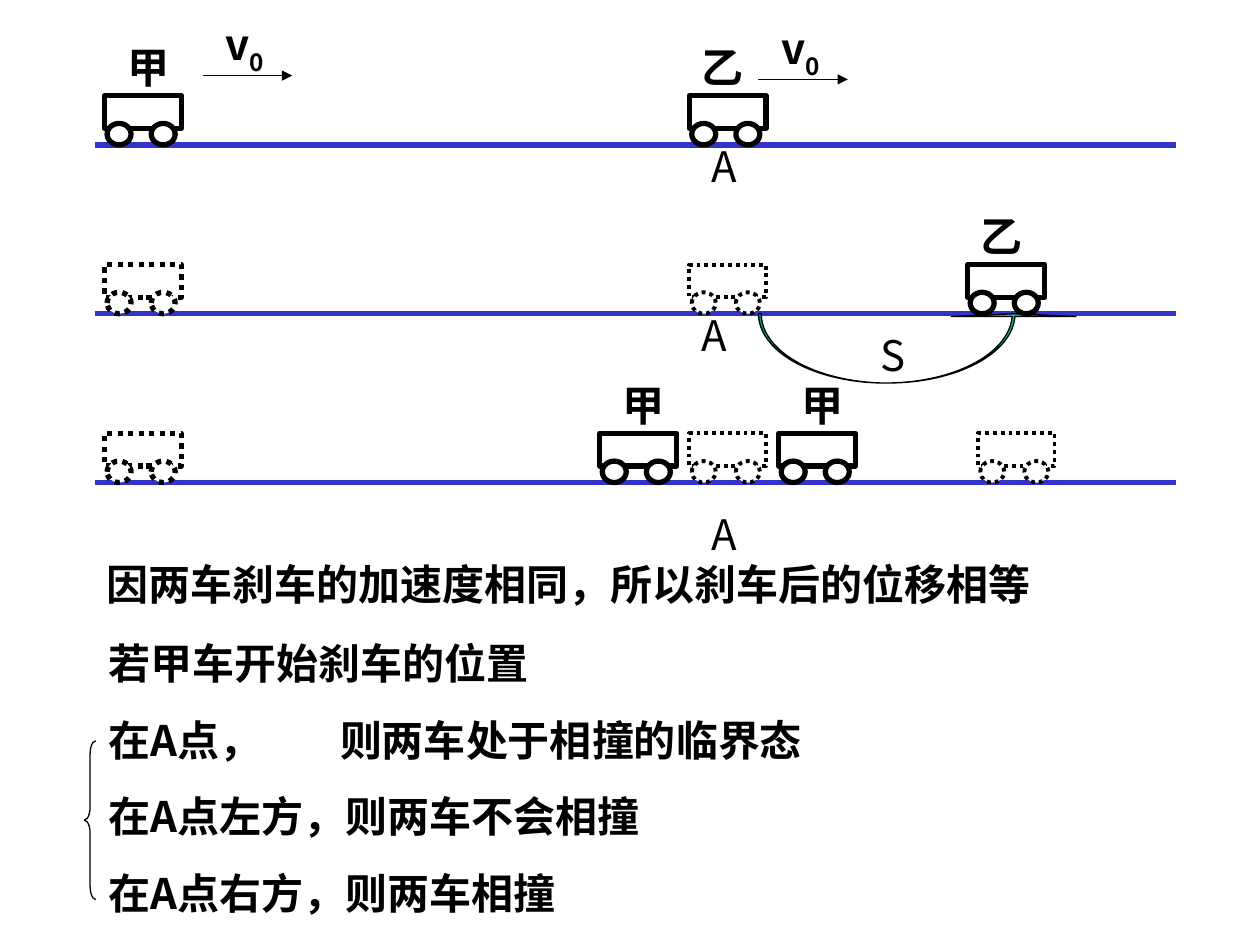
"""Build the slide on two braking cars and the critical point A."""
from dataclasses import dataclass

from lxml.etree import SubElement
from pptx import Presentation
from pptx.dml.color import RGBColor
from pptx.enum.dml import MSO_LINE
from pptx.enum.shapes import MSO_CONNECTOR, MSO_SHAPE
from pptx.oxml.ns import qn
from pptx.util import Inches, Pt


@dataclass(frozen=True)
class Theme:
    font: str = "Noto Sans CJK SC"
    ink: RGBColor = RGBColor(0, 0, 0)
    paper: RGBColor = RGBColor(255, 255, 255)
    road: RGBColor = RGBColor(0x33, 0x33, 0xCC)
    distance: RGBColor = RGBColor(0, 0xCC, 0x99)
    text_size: float = 24
    paragraph_gap: float = 15
    thin: float = 0.75
    dotted: float = 2.25
    thick: float = 3


THEME = Theme()
ROADS = [1.15 + 1.34 * row for row in range(3)]
LABEL_LAYOUT = {"甲": (0.08, 0.55), "乙": (0, 0.63)}
CARS = [
    (0, 0.83, "甲", THEME.thick),
    (0, 5.47, "乙", THEME.thick),
    (1, 0.83, None, THEME.thick),
    (1, 5.47, None, THEME.dotted),
    (1, 7.68, "乙", THEME.thick),
    (2, 0.83, None, THEME.thick),
    (2, 5.47, None, THEME.dotted),
    (2, 7.76, None, THEME.dotted),
    (2, 4.76, "甲", THEME.thick),
    (2, 6.18, "甲", THEME.thick),
]
POINT_LABELS = [
    ("A", 5.55, 1.07), ("A", 5.47, 2.41), ("S", 6.89, 2.57), ("A", 5.55, 3.99),
]
CONCLUSIONS = [
    "若甲车开始刹车的位置",
    "在A点，\t则两车处于相撞的临界态",
    "在A点左方，则两车不会相撞",
    "在A点右方，则两车相撞",
]


def style_run(run, bold):
    """Apply the slide's typeface, size and colour to a run."""
    run.font.size = Pt(THEME.text_size)
    run.font.bold = bold
    run.font.color.rgb = THEME.ink
    run.font.name = THEME.font
    SubElement(run.font._element, qn("a:ea"), typeface=THEME.font)


def add_text(shapes, lines, left, top, width, height=0.5, bold=True):
    """Add a text box with one paragraph per line and return its frame."""
    frame = shapes.add_textbox(
        Inches(left), Inches(top), Inches(width), Inches(height)).text_frame
    frame.word_wrap = True
    frame.text = "\n".join(lines)
    for index, paragraph in enumerate(frame.paragraphs):
        if index:
            paragraph.space_before = Pt(THEME.paragraph_gap)
        for run in paragraph.runs:
            style_run(run, bold)
    return frame


def add_outline(shapes, preset, left, top, width, height, weight, fill=None):
    """Add a preset shape with a black outline."""
    outline = shapes.add_shape(
        preset, Inches(left), Inches(top), Inches(width), Inches(height))
    outline.shadow.inherit = False
    if fill is None:
        outline.fill.background()
    else:
        outline.fill.solid()
        outline.fill.fore_color.rgb = fill
    outline.line.color.rgb = THEME.ink
    outline.line.width = Pt(weight)
    return outline


def add_line(shapes, left, right, level, color, weight):
    """Add a horizontal line without a shadow."""
    line = shapes.add_connector(
        MSO_CONNECTOR.STRAIGHT,
        Inches(left), Inches(level), Inches(right), Inches(level))
    line.line.color.rgb = color
    line.line.width = Pt(weight)
    SubElement(line._element.spPr, qn("a:effectLst"))
    return line


def add_car(shapes, row, left, label, weight):
    """Add a car on a road, dotted when it has no label."""
    car = shapes.add_group_shape().shapes
    road = ROADS[row]
    parts = [
        (MSO_SHAPE.RECTANGLE, 0, 0.39, 0.61, 0.26),
        (MSO_SHAPE.OVAL, 0.37, 0.17, 0.19, 0.17),
        (MSO_SHAPE.OVAL, 0.02, 0.17, 0.19, 0.17),
    ]
    for preset, offset, rise, width, height in parts:
        part = add_outline(car, preset, left + offset, road - rise,
                           width, height, weight, THEME.paper)
        if label is None:
            part.line.dash_style = MSO_LINE.ROUND_DOT
    if label is not None:
        offset, width = LABEL_LAYOUT[label]
        add_text(car, [label], left + offset, road - 0.87, width)


def add_velocity(shapes, left, level):
    """Add a velocity arrow with its symbol above."""
    velocity = shapes.add_group_shape().shapes
    arrow = add_line(velocity, left, left + 0.71, level, THEME.ink, THEME.thin)
    SubElement(arrow.line._get_or_add_ln(), qn("a:tailEnd"), type="triangle")
    frame = add_text(velocity, ["v"], left + 0.08, level - 0.5, 0.79, 0.56)
    subscript = frame.paragraphs[0].add_run()
    subscript.text = "0"
    style_run(subscript, True)
    subscript.font._element.set("baseline", "-25000")


def add_distance(shapes):
    """Add the curved arrow marking the braking distance."""
    distance = add_outline(shapes, MSO_SHAPE.CURVED_UP_ARROW, 6.02, ROADS[1],
                           2.52, 0.55, THEME.thin, THEME.distance)
    for index, ratio in enumerate((0.04, 1.8, 0.04)):
        distance.adjustments[index] = ratio


def add_conclusions(shapes):
    """Add the reasoning text and the brace joining its three cases."""
    add_text(shapes, ["因两车刹车的加速度相同，所以刹车后的位移相等"], 0.75, 4.38, 8.58)
    conclusions = shapes.add_group_shape().shapes
    frame = add_text(conclusions, CONCLUSIONS, 0.76, 5.01, 6.45, 2.33)
    tabs = SubElement(frame.paragraphs[1]._p.get_or_add_pPr(), qn("a:tabLst"))
    SubElement(tabs, qn("a:tab"), pos=str(Inches(1.84)), algn="l")
    brace = add_outline(conclusions, MSO_SHAPE.LEFT_BRACE,
                        0.67, 5.88, 0.09, 1.26, THEME.thin)
    brace.adjustments[0] = 1.17


def main():
    """Assemble and save the slide."""
    deck = Presentation()
    deck.slide_width, deck.slide_height = Inches(10), Inches(7.5)
    shapes = deck.slides.add_slide(deck.slide_layouts[6]).shapes
    for road in ROADS:
        add_line(shapes, 0.75, 9.33, road, THEME.road, THEME.thick)
    add_distance(shapes)
    for car in CARS:
        add_car(shapes, *car)
    for label, left, top in POINT_LABELS:
        add_text(shapes, [label], left, top, 0.47, bold=False)
    add_conclusions(shapes)
    add_velocity(shapes, 1.61, 0.6)
    add_velocity(shapes, 6.02, 0.63)
    deck.save("out.pptx")


if __name__ == "__main__":
    main()
